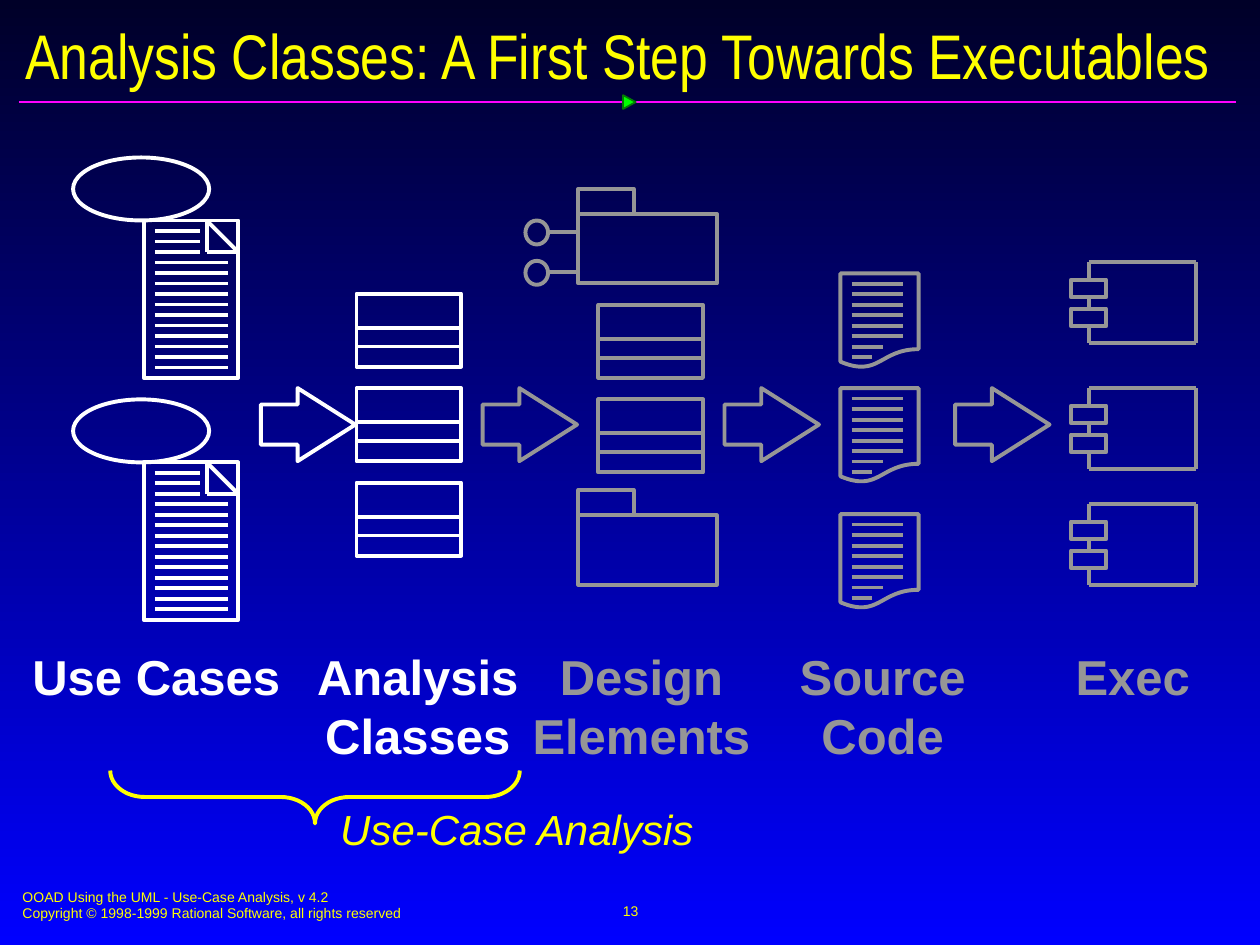
"""Build a slide that follows use cases through analysis classes to executables."""
from dataclasses import dataclass

from lxml import etree
from pptx import Presentation, util as u
from pptx.dml.color import RGBColor
from pptx.enum import shapes as kinds, text as t
from pptx.oxml.ns import qn

Kind = kinds.MSO_SHAPE


@dataclass(frozen=True)
class Theme:
    """Colours, fonts and sizes of the slide."""
    top: str = "000028"
    bottom: str = "0000FF"
    active: str = "FFFFFF"
    faded: str = "969696"
    accent: str = "FFFF00"
    rule: str = "FF01FF"
    marker: str = "00FF00"
    marker_edge: str = "037C03"
    font: str = "Arial"
    title_font: str = "Arial Narrow"
    title_size: int = 36
    label_size: int = 28
    caption_size: int = 24
    footer_size: int = 8
    stroke: float = 2.25
    thin: float = 1


THEME = Theme()


def rgb(value):
    """Turn a hex string into a colour."""
    return RGBColor.from_string(value)


def add_line(shapes, start, end, color, width=THEME.stroke):
    """Draw a straight line between two points given in inches."""
    line = shapes.add_connector(
        kinds.MSO_CONNECTOR.STRAIGHT, *map(u.Inches, start + end))
    line.line.color.rgb = rgb(color)
    line.line.width = u.Pt(width)
    etree.SubElement(line._element.spPr, qn("a:effectLst"))
    return line


def add_outline(shapes, kind, frame, color, width=THEME.stroke):
    """Draw an unfilled preset shape in a frame given in inches."""
    shape = shapes.add_shape(kind, *map(u.Inches, frame))
    shape.shadow.inherit = False
    shape.fill.background()
    shape.line.color.rgb = rgb(color)
    shape.line.width = u.Pt(width)
    return shape


def add_span(para, text, size, color, font=THEME.font, bold=False, italic=False):
    """Append one formatted run to a paragraph."""
    span = para.add_run()
    span.text = text
    span.font.name = font
    span.font.size = u.Pt(size)
    span.font.color.rgb = rgb(color)
    span.font.bold = bold
    span.font.italic = italic


def add_text(slide, frame, paragraphs, size, color, align=t.PP_ALIGN.LEFT,
             anchor=t.MSO_ANCHOR.TOP, **style):
    """Add a text box whose paragraphs are lists of lines."""
    box = slide.shapes.add_textbox(*map(u.Inches, frame)).text_frame
    box.word_wrap = True
    box.vertical_anchor = anchor
    for index, lines in enumerate(paragraphs):
        para = box.add_paragraph() if index else box.paragraphs[0]
        para.alignment = align
        for number, line in enumerate(lines):
            if number:
                para.add_line_break()
            add_span(para, line, size, color, **style)
    return box


def add_label(slide, left, width, paragraphs, color):
    """Write the name of a stage on unwrapped, centred lines."""
    height = 1.04 if sum(map(len, paragraphs)) > 1 else 0.57
    box = add_text(slide, (left, 5.08, width, height), paragraphs,
                   THEME.label_size, color, t.PP_ALIGN.CENTER, bold=True)
    box.word_wrap = False
    box.auto_size = t.MSO_AUTO_SIZE.SHAPE_TO_FIT_TEXT
    box.margin_left = box.margin_right = 0


def add_background(slide):
    """Fill the slide with a downward gradient."""
    fill = slide.background.fill
    fill.gradient()
    fill.gradient_angle = 270
    for stop, color in zip(fill.gradient_stops, (THEME.top, THEME.bottom)):
        stop.color.rgb = rgb(color)


def add_title(slide, text):
    """Place the title and the rule with its marker."""
    title = slide.shapes.title
    title.left, title.top, title.width, title.height = map(
        u.Inches, (0.1, 0.14, 9.84, 0.58))
    box = title.text_frame
    box.auto_size = t.MSO_AUTO_SIZE.NONE
    box.vertical_anchor = t.MSO_ANCHOR.MIDDLE
    para = box.paragraphs[0]
    para.alignment = t.PP_ALIGN.LEFT
    add_span(para, text, THEME.title_size, THEME.accent, THEME.title_font)
    add_line(slide.shapes, (0.15, 0.81), (9.81, 0.81), THEME.rule, THEME.thin)
    marker = add_outline(slide.shapes, Kind.ISOSCELES_TRIANGLE,
                         (4.94, 0.76, 0.11, 0.1), THEME.marker_edge, THEME.thin)
    marker.rotation = 90
    marker.fill.solid()
    marker.fill.fore_color.rgb = rgb(THEME.marker)


def add_use_case(slide, top):
    """Draw a use-case ellipse with its written document."""
    group, color = slide.shapes.add_group_shape().shapes, THEME.active
    sheet = top + 0.5
    add_outline(group, Kind.OVAL, (0.58, top, 1.08, 0.5), color)
    add_outline(group, Kind.RECTANGLE, (1.14, sheet, 0.75, 1.25), color)
    fold = [(1.64, sheet), (1.89, sheet + 0.25), (1.64, sheet + 0.25)]
    for start, end in zip(fold, fold[1:] + fold[:1]):
        add_line(group, start, end, color)
    for row in range(1, 15):
        y = sheet + row / 12
        add_line(group, (1.23, y), (1.59 if row < 4 else 1.81, y), color)


def add_class(slide, left, top, color):
    """Draw a class box with three compartments."""
    group, width = slide.shapes.add_group_shape().shapes, 0.83
    add_outline(group, Kind.RECTANGLE, (left, top, width, 0.58), color)
    for y in (top + 0.27, top + 0.42):
        add_line(group, (left, y), (left + width, y), color)


def add_package(slide, top, interfaces=()):
    """Draw a package folder with optional interface lollipops."""
    group, left, color = slide.shapes.add_group_shape().shapes, 4.59, THEME.faded
    add_outline(group, Kind.RECTANGLE, (left, top + 0.2, 1.1, 0.55), color)
    add_outline(group, Kind.RECTANGLE, (left, top, 0.44, 0.2), color)
    for y in interfaces:
        add_outline(group, Kind.OVAL, (4.17, y - 0.09, 0.18, 0.19), color)
        add_line(group, (4.35, y), (left, y), color)


def add_source_file(slide, top):
    """Draw a source file with lines of code."""
    group = slide.shapes.add_group_shape().shapes
    add_outline(group, Kind.FLOWCHART_DOCUMENT, (6.67, top, 0.62, 0.75), THEME.faded)
    for row, right in enumerate([7.17] * 6 + [7.01, 6.92], 1):
        y = top + row / 12
        add_line(group, (6.76, y), (right, y), THEME.faded)


def add_component(slide, top):
    """Draw an executable component with two tabs on its left edge."""
    group, color = slide.shapes.add_group_shape().shapes, THEME.faded
    left, right, bottom = 8.64, 9.49, top + 0.64
    add_line(group, (right, top), (right, bottom), color)
    for y in (top, bottom):
        add_line(group, (right, y), (left, y), color)
    for start, end in ((0, 0.14), (0.28, 0.37), (0.5, 0.64)):
        add_line(group, (left, top + start), (left, top + end), color)
    for offset in (0.14, 0.37):
        add_outline(group, Kind.RECTANGLE, (8.5, top + offset, 0.28, 0.14), color)


def add_arrow(slide, left, color):
    """Draw a block arrow between two stages."""
    arrow = add_outline(slide.shapes, Kind.RIGHT_ARROW, (left, 3.08, 0.75, 0.58), color)
    arrow.adjustments[0], arrow.adjustments[1] = 0.55, 0.79


def add_brace(slide):
    """Draw the brace under the first two stages with its caption."""
    brace = add_outline(slide.shapes, Kind.LEFT_BRACE, (2.29, 4.7, 0.42, 3.25), THEME.accent)
    brace.rotation = 270
    brace.adjustments[0] = 0.65
    caption = add_text(slide, (2.58, 6.32, 3.25, 0.52), [["Use-Case Analysis"]],
                       THEME.caption_size, THEME.accent, italic=True)
    caption.margin_left = caption.margin_right = u.Inches(0.12)
    caption.margin_top = caption.margin_bottom = u.Inches(0.06)


def add_footer(slide):
    """Write the copyright lines and the page number."""
    add_text(slide, (0.08, 7, 5.1, 0.37),
             [["OOAD Using the UML - Use-Case Analysis, v 4.2"],
              ["Copyright © 1998-1999 Rational Software, all rights reserved"]],
             THEME.footer_size, THEME.accent)
    add_text(slide, (3.42, 6.98, 3.17, 0.5), [["13"]], THEME.footer_size,
             THEME.accent, t.PP_ALIGN.CENTER, t.MSO_ANCHOR.MIDDLE)


def main():
    """Assemble and save the slide."""
    deck = Presentation()
    deck.slide_width, deck.slide_height = u.Inches(10), u.Inches(7.5)
    page = deck.slides.add_slide(deck.slide_layouts[5])
    add_background(page)
    add_title(page, "Analysis Classes: A First Step Towards Executables")
    for top in (1.25, 3.17):
        add_use_case(page, top)
    for top in (2.33, 3.08, 3.83):
        add_class(page, 2.83, top, THEME.active)
    add_package(page, 1.5, (1.84, 2.16))
    for top in (2.42, 3.17):
        add_class(page, 4.75, top, THEME.faded)
    add_package(page, 3.89)
    for top in (2.17, 3.08, 4.08):
        add_source_file(page, top)
    for top in (2.08, 3.08, 4):
        add_component(page, top)
    add_arrow(page, 2.07, THEME.active)
    for left in (3.83, 5.75, 7.58):
        add_arrow(page, left, THEME.faded)
    add_label(page, 0.16, 2.16, [["Use Cases"]], THEME.active)
    add_label(page, 2.42, 1.79, [["Analysis", "Classes"]], THEME.active)
    add_label(page, 4.13, 1.92, [["Design", "Elements"]], THEME.faded)
    add_label(page, 6.25, 1.51, [["Source"], ["Code"]], THEME.faded)
    add_label(page, 8.44, 1.1, [["Exec"]], THEME.faded)
    add_brace(page)
    add_footer(page)
    deck.save("out.pptx")


if __name__ == "__main__":
    main()
